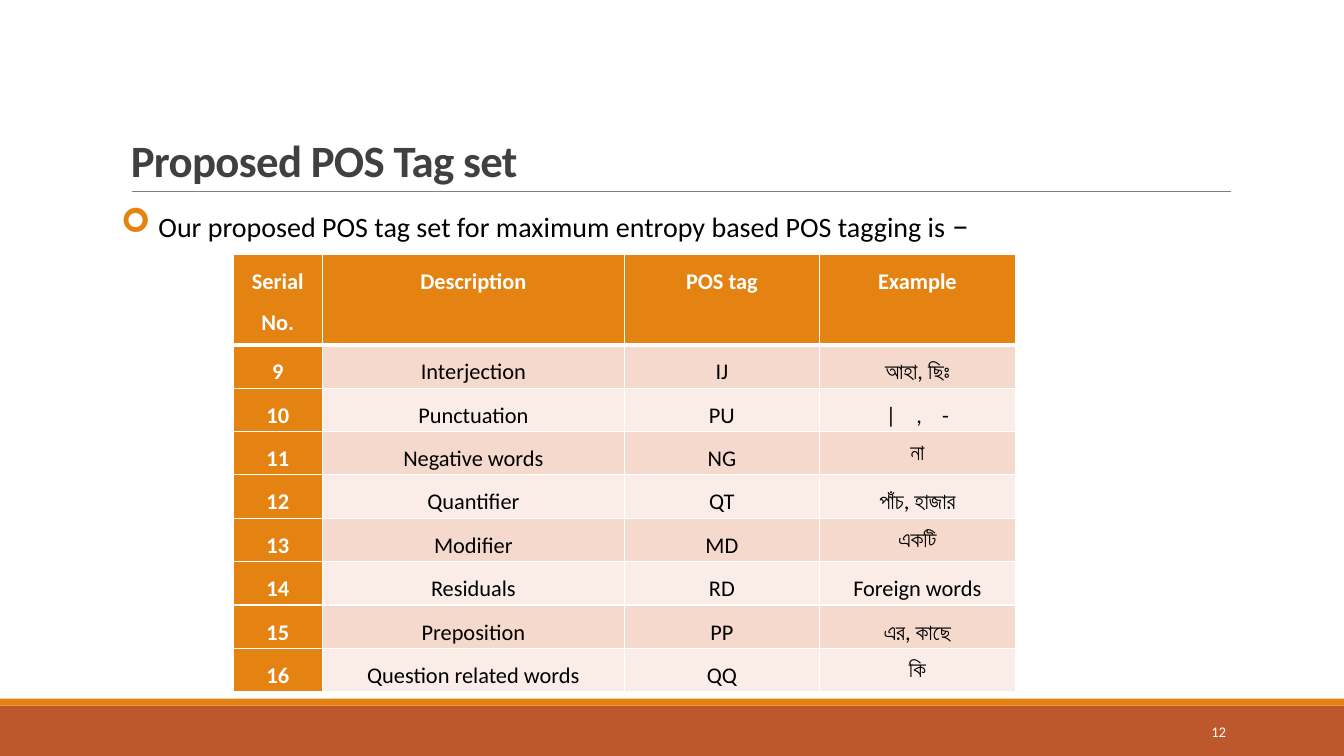
from dataclasses import dataclass

from lxml import etree
from pptx import Presentation
from pptx.dml.color import RGBColor
from pptx.enum.shapes import MSO_CONNECTOR, MSO_SHAPE
from pptx.enum.text import MSO_ANCHOR, PP_ALIGN
from pptx.oxml.ns import qn
from pptx.util import Inches, Pt

RECTANGLE = MSO_SHAPE.RECTANGLE
STRAIGHT = MSO_CONNECTOR.STRAIGHT
TOP, MIDDLE, BOTTOM = MSO_ANCHOR.TOP, MSO_ANCHOR.MIDDLE, MSO_ANCHOR.BOTTOM
LEFT, CENTER, RIGHT = PP_ALIGN.LEFT, PP_ALIGN.CENTER, PP_ALIGN.RIGHT

WHITE = RGBColor(0xFF, 0xFF, 0xFF)
BLACK = RGBColor(0x00, 0x00, 0x00)
CHARCOAL = RGBColor(0x40, 0x40, 0x40)
GRAY = RGBColor(0x80, 0x80, 0x80)
ORANGE = RGBColor(0xE4, 0x83, 0x12)
RUST = RGBColor(0xBD, 0x58, 0x2C)
BAND_DARK = RGBColor(0xF5, 0xD9, 0xCC)
BAND_LIGHT = RGBColor(0xFA, 0xED, 0xE7)

FONT = "Calibri"
WIDTH, HEIGHT = Inches(13.33), Inches(7.5)
COLUMN_SHARES = (6.68, 22.43, 14.55, 14.55)
HEADER_SHARE, ROW_SHARE = 12, 5.74
THIN, THICK = Pt(1), Pt(3)


@dataclass(frozen=True)
class Box:
    left: float
    top: float
    width: float
    height: float

    def emu(self) -> tuple:
        return (across(self.left), down(self.top),
                across(self.width), down(self.height))


@dataclass(frozen=True)
class Band:
    box: Box
    color: RGBColor


@dataclass(frozen=True)
class Piece:
    text: str
    size: float
    color: RGBColor
    bold: bool = False


@dataclass(frozen=True)
class Label:
    box: Box
    pieces: tuple
    anchor: MSO_ANCHOR = TOP
    align: PP_ALIGN = LEFT
    side_inset: float = 0.1


BANDS = (
    Band(Box(0, 93.33, 100, 6.67), RUST),
    Band(Box(0, 92.4, 100, 0.93), ORANGE),
)
TITLE = Label(Box(9, 4.13, 82.5, 21.2),
              (Piece("Proposed POS Tag set", 32, CHARCOAL, True),), BOTTOM)
BODY = Label(
    Box(9, 26.93, 82.5, 58.67),
    (Piece(" ", 24, BLACK),
     Piece("Our proposed POS tag set for maximum entropy based POS tagging is ",
           20, BLACK),
     Piece("–", 24, BLACK)),
    side_inset=0)
NUMBER = Label(Box(81.23, 94.13, 10.73, 5.33),
               (Piece("12", 10.5, WHITE),), MIDDLE, RIGHT)

HEADER = ("Serial No.", "Description", "POS tag", "Example")
TAGS = (
    ("9", "Interjection", "IJ", "আহা, ছিঃ"),
    ("10", "Punctuation", "PU", "|    ,    -"),
    ("11", "Negative words", "NG", "না"),
    ("12", "Quantifier", "QT", "পাঁচ, হাজার"),
    ("13", "Modifier", "MD", "একটি"),
    ("14", "Residuals", "RD", "Foreign words"),
    ("15", "Preposition", "PP", "এর, কাছে"),
    ("16", "Question related words", "QQ", "কি"),
)


def across(percent: float) -> int:
    return round(WIDTH * percent / 100)


def down(percent: float) -> int:
    return round(HEIGHT * percent / 100)


def style_run(r, piece: Piece) -> None:
    r.font.name = FONT
    r.font.size = Pt(piece.size)
    r.font.bold = piece.bold
    r.font.color.rgb = piece.color


def add_band(s, band: Band) -> None:
    sp = s.shapes.add_shape(RECTANGLE, *band.box.emu())
    sp.shadow.inherit = False
    sp.fill.solid()
    sp.fill.fore_color.rgb = band.color
    sp.line.fill.background()


def add_rule(s, left: float, right: float, top: float) -> None:
    line = s.shapes.add_connector(STRAIGHT, across(left), down(top),
                                  across(right), down(top))
    line.line.color.rgb = GRAY
    line.line.width = Pt(0.5)
    etree.SubElement(line._element.spPr, qn("a:effectLst"))


def add_label(s, label: Label):
    tf = s.shapes.add_textbox(*label.box.emu()).text_frame
    tf.word_wrap = True
    tf.vertical_anchor = label.anchor
    tf.margin_left = tf.margin_right = Inches(label.side_inset)
    p = tf.paragraphs[0]
    p.alignment = label.align
    for piece in label.pieces:
        r = p.add_run()
        r.text = piece.text
        style_run(r, piece)
    return p


def add_bullet(p, mark: str, color: RGBColor) -> None:
    pPr = p._p.get_or_add_pPr()
    pPr.set("marL", str(Inches(0.1)))
    pPr.set("indent", str(-Inches(0.1)))
    tint = etree.SubElement(pPr, qn("a:buClr"))
    etree.SubElement(tint, qn("a:srgbClr"), val=str(color))
    etree.SubElement(pPr, qn("a:buFont"), typeface="Wingdings")
    etree.SubElement(pPr, qn("a:buChar"), char=mark)


def set_borders(cell, top: int, bottom: int) -> None:
    tcPr = cell._tc.get_or_add_tcPr()
    for side, width in (("L", THIN), ("R", THIN), ("T", top), ("B", bottom)):
        ln = etree.SubElement(tcPr, qn(f"a:ln{side}"), w=str(width))
        fill = etree.SubElement(ln, qn("a:solidFill"))
        etree.SubElement(fill, qn("a:srgbClr"), val=str(WHITE))


def fill_cell(cell, text: str, row: int, col: int) -> None:
    strong = row == 0 or col == 0
    set_borders(cell, THICK if row == 1 else THIN, THICK if row == 0 else THIN)
    cell.fill.solid()
    cell.fill.fore_color.rgb = (
        ORANGE if strong else BAND_DARK if row % 2 else BAND_LIGHT)
    cell.margin_left = cell.margin_right = Inches(0.07)
    cell.margin_top = cell.margin_bottom = 0
    cell.text_frame.text = text
    p = cell.text_frame.paragraphs[0]
    p.alignment = CENTER
    p.line_spacing = 1.5
    p.space_after = Pt(10)
    style_run(p.runs[0], Piece(text, 16, WHITE if strong else BLACK, strong))


def add_tag_table(s, left: float, top: float) -> None:
    rows = (HEADER, *TAGS)
    box = Box(left, top, sum(COLUMN_SHARES),
              HEADER_SHARE + ROW_SHARE * len(TAGS))
    table = s.shapes.add_table(len(rows), len(HEADER), *box.emu()).table
    table.first_col = True
    table.horz_banding = False
    for column, share in zip(table.columns, COLUMN_SHARES):
        column.width = across(share)
    for i, texts in enumerate(rows):
        table.rows[i].height = down(ROW_SHARE if i else HEADER_SHARE)
        for j, text in enumerate(texts):
            fill_cell(table.cell(i, j), text, i, j)


def main() -> None:
    prs = Presentation()
    prs.slide_width, prs.slide_height = WIDTH, HEIGHT
    s = prs.slides.add_slide(prs.slide_layouts[6])
    for band in BANDS:
        add_band(s, band)
    add_rule(s, 9.83, 91.58, 25.33)
    p = add_label(s, TITLE)
    p.line_spacing = 0.85
    p.runs[0].font._element.set("spc", "-50")
    p = add_label(s, BODY)
    p.line_spacing = 0.9
    p.space_before, p.space_after = Pt(12), Pt(2)
    add_bullet(p, "➢", ORANGE)
    add_label(s, NUMBER)
    add_tag_table(s, 17.33, 33.6)
    prs.save("out.pptx")


if __name__ == "__main__":
    main()
